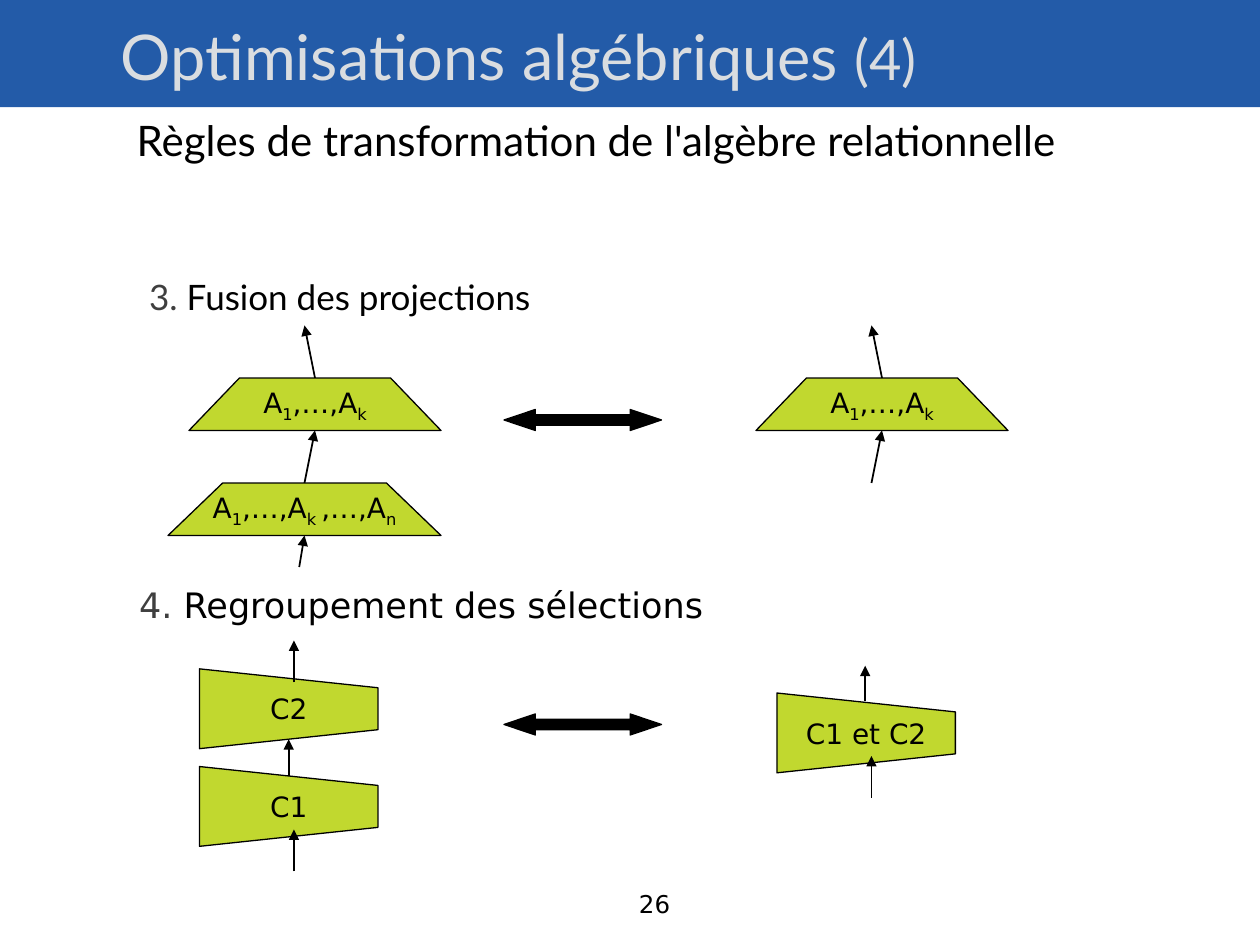
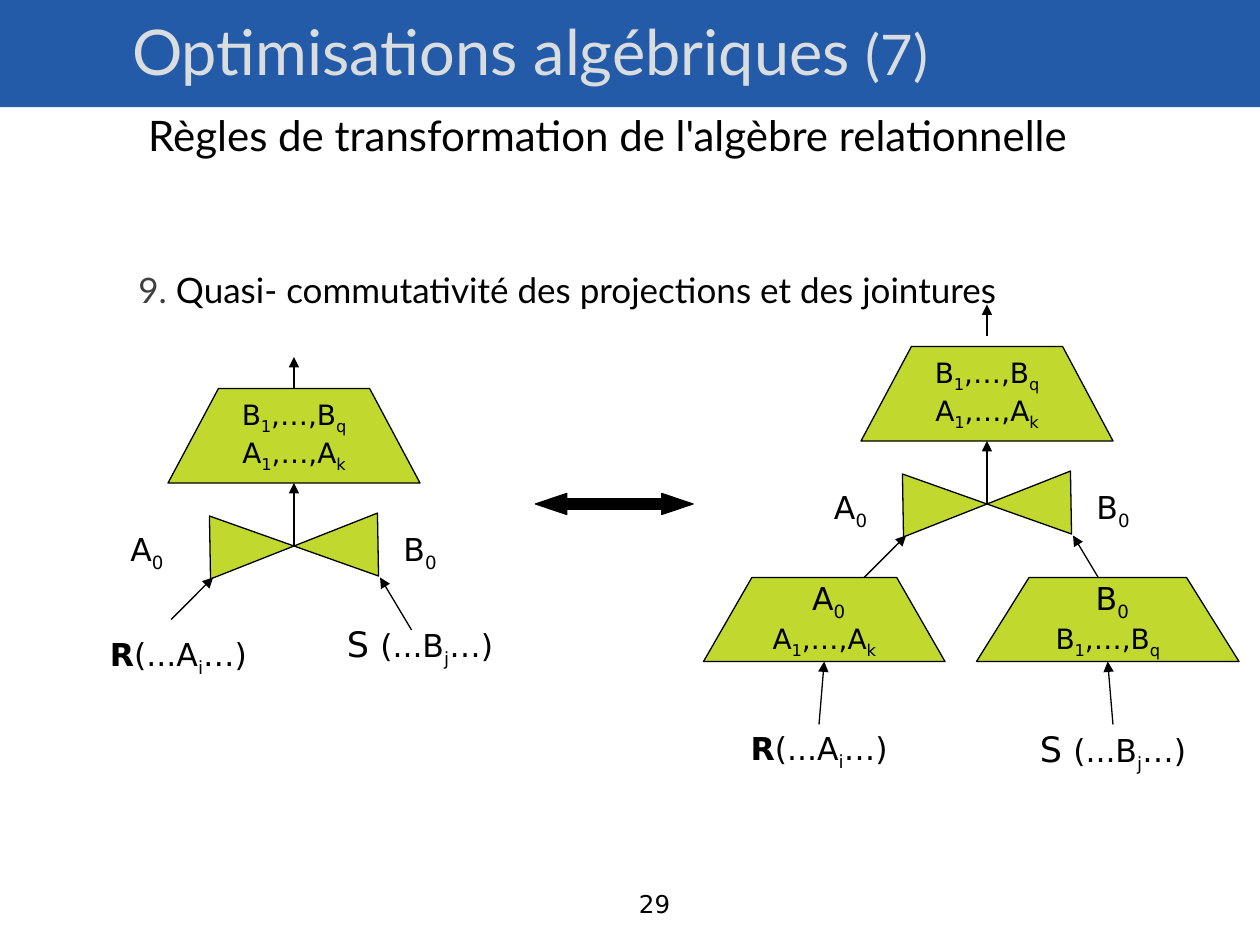
from collections import namedtuple

from lxml.etree import SubElement
from pptx import Presentation
from pptx.dml.color import RGBColor
from pptx.enum.shapes import MSO_CONNECTOR, MSO_SHAPE
from pptx.enum.text import MSO_ANCHOR, PP_ALIGN
from pptx.oxml.ns import qn
from pptx.util import Inches, Pt

BLUE = RGBColor(0x23, 0x5B, 0xA8)
LIME = RGBColor(0xC1, 0xD8, 0x2F)
PALE = RGBColor(0xDA, 0xDD, 0xE0)
GREY = RGBColor(0x3F, 0x3F, 0x3F)
BLACK = RGBColor(0, 0, 0)
LATO, DEJAVU = "Lato", "DejaVu Sans"

# The slide is a grid of 120 columns by 90 rows
CELL = Inches(1) // 12
COLUMNS, ROWS = 120, 90

Span = namedtuple("Span", "text size color bold", defaults=(16, BLACK, False))


def place(slide, box, kind=None, fill=LIME):
    """Add a preset shape, or a text box if kind is None; box is in cells."""
    left, top, width, height = (round(v * CELL) for v in box)
    if kind is None:
        return slide.shapes.add_textbox(left, top, width, height)
    shape = slide.shapes.add_shape(kind, left, top, width, height)
    shape.shadow.inherit = False
    shape.fill.solid()
    shape.fill.fore_color.rgb = fill
    shape.line.color.rgb = BLACK
    shape.line.width = Pt(0.75)
    return shape


def write(shape, paragraphs, font=DEJAVU, align=PP_ALIGN.CENTER,
          anchor=MSO_ANCHOR.MIDDLE, wrap=False, before=0):
    """Fill a shape with lists of spans; text between bars is subscript."""
    frame = shape.text_frame
    frame.word_wrap = wrap
    frame.vertical_anchor = anchor
    if not wrap:
        frame.margin_left = frame.margin_right = 0
    for number, spans in enumerate(paragraphs):
        paragraph = frame.add_paragraph() if number else frame.paragraphs[0]
        paragraph.alignment = align
        paragraph.space_before = Pt(before)
        for span in spans:
            for part, text in enumerate(span.text.split("|")):
                if not text:
                    continue
                run = paragraph.add_run()
                run.text = text
                run.font.name = font
                run.font.size = Pt(span.size)
                run.font.color.rgb = span.color
                run.font.bold = span.bold
                if part % 2:
                    run.font._element.set("baseline", "-25000")


prs = Presentation()
prs.slide_width = COLUMNS * CELL
prs.slide_height = ROWS * CELL

# Shared frame: band, title, page number
slides = []
for rank, page, title_left, title_top in [("(4)", "26", 10.3, 1.1),
                                          ("(7)", "29", 11.4, 0.6)]:
    slide = prs.slides.add_slide(prs.slide_layouts[6])
    band = place(slide, (0, 0, COLUMNS, 10.2), MSO_SHAPE.RECTANGLE, BLUE)
    band.line.fill.background()
    title = place(slide, (title_left, title_top, 107.2, 15.6))
    write(title, [
        [Span("Optimisations algébriques ", 36, PALE), Span(rank, 32, PALE)],
        [Span(" ", 36), Span("Règles de transformation de l'algèbre relationnelle", 24)],
    ], LATO, PP_ALIGN.LEFT, wrap=True)
    write(place(slide, (55, 85, 10, 2.2)), [[Span(page, 14)]],
          align=PP_ALIGN.RIGHT, wrap=True)
    slides.append(slide)
merging, commuting = slides

# Names of the rules
for slide, box, font, before, lead, number, rule in [
    (merging, (12, 25, 106.4, 8), LATO, 6, 24, "3.", " Fusion des projections"),
    (merging, (11, 55, 106.4, 8), DEJAVU, 5, 20, "4.", " Regroupement des sélections"),
    (commuting, (12, 25, 106.4, 11), LATO, 6, 0, "9.",
     " Quasi- commutativité des projections et des jointures"),
]:
    spans = [Span(" ", lead)] if lead else []
    spans += [Span(number, 20, GREY), Span(rule, 20)]
    write(place(slide, box), [spans], font, PP_ALIGN.LEFT, MSO_ANCHOR.TOP, True, before)

# Equivalence signs
for slide, left, top in [(merging, 48, 39), (merging, 48, 68), (commuting, 51, 47)]:
    sign = place(slide, (left, top, 15, 2), MSO_SHAPE.LEFT_RIGHT_ARROW, BLACK)
    sign.adjustments[0] = 0.5
    sign.adjustments[1] = 1.49

# Selections: tapered to the right
WIDTH, HEIGHT, TAPER = 17, 7.6, 1.8
for left, top, condition in [(19, 63.7, "C2"), (19, 73, "C1"), (74, 66, "C1 et C2")]:
    right, bottom = left + WIDTH, top + HEIGHT
    corners = [(x * CELL, y * CELL) for x, y in [
        (left, top), (right, top + TAPER), (right, bottom - TAPER), (left, bottom)]]
    outline = merging.shapes.build_freeform(*corners[0])
    outline.add_line_segments(corners[1:], close=True)
    selection = outline.convert_to_shape()
    selection.shadow.inherit = False
    selection.fill.solid()
    selection.fill.fore_color.rgb = LIME
    selection.line.color.rgb = BLACK
    selection.line.width = Pt(0.75)
    write(selection, [[Span(condition)]])

# Arrows: from, to, line width
arrows = [
    (merging, 29, 46, 30, 41, 1),
    (merging, 30, 36, 29, 31, 1),
    (merging, 28.5, 54, 29, 51, 1),
    (merging, 83, 46, 84, 41, 1),
    (merging, 84, 36, 83, 31, 1),
    (merging, 27.5, 73.9, 27.5, 70.4, 1),
    (merging, 28, 65, 28, 61, 0.75),
    (merging, 28, 83, 28, 79, 0.75),
    (merging, 82.4, 66.8, 82.4, 63.4, 1),
    (merging, 83, 76, 83, 72, 0.75),
    (commuting, 78, 69, 78.5, 63, 0.75),
    (commuting, 106, 69, 105.5, 63, 0.75),
]

# Join trees: axis, join row, start of the exit arrow, A0 column, boxes of R and S
A_JOIN, B_JOIN = Span("A|0|", 18), Span("B|0|", 18)
for axis, row, exit_row, a_left, r_box, s_box in [
    (28, 52, 37, 12, (8, 60, 18, 5), (31, 59, 18, 5)),
    (94, 48, 32, 79, (70, 69, 16, 5), (97, 69, 18, 5)),
]:
    join = place(commuting, (axis - 3, row - 8, 6, 16), MSO_SHAPE.FLOWCHART_COLLATE)
    join.rotation = 269
    for box, spans in [
        ((a_left, row - 1, 4, 3), [A_JOIN]),
        ((axis + 10, row - 1, 4, 3), [B_JOIN]),
        (r_box, [Span("R", 18, bold=True), Span("(...A|i|…)", 18)]),
        (s_box, [Span("S ", 20), Span("(...B|j|…)", 18)]),
    ]:
        write(place(commuting, box), [spans])
    arrows += [
        (commuting, axis, row, axis, row - 6, 1),
        (commuting, axis, exit_row, axis, exit_row - 3, 0.75),
        (commuting, axis + 11.2, row + 8, axis + 8.2, row + 3, 0.75),
        (commuting, axis - 11.7, row + 7, axis - 7.7, row + 3, 0.75),
    ]

for slide, *ends, width in arrows:
    arrow = slide.shapes.add_connector(MSO_CONNECTOR.STRAIGHT,
                                       *(round(end * CELL) for end in ends))
    arrow.line.color.rgb = BLACK
    arrow.line.width = Pt(width)
    SubElement(arrow.line._get_or_add_ln(), qn("a:tailEnd"), type="triangle")
    SubElement(arrow._element.spPr, qn("a:effectLst"))

# Projections, over the arrows: wide side at the bottom, text upright
A_KEPT, B_KEPT = [Span("A|1|,…,A|k|")], [Span("B|1|,…,B|q|")]
for slide, box, attributes in [
    (merging, (18, 36, 24, 5), [A_KEPT]),
    (merging, (16, 46, 26, 5), [[Span("A|1|,…,A|k |,…,A|n|")]]),
    (merging, (72, 36, 24, 5), [A_KEPT]),
    (commuting, (16, 37, 24, 9), [B_KEPT, A_KEPT]),
    (commuting, (82, 33, 24, 9), [B_KEPT, A_KEPT]),
    (commuting, (67, 55, 23, 8), [[Span(" "), A_JOIN], A_KEPT]),
    (commuting, (93, 55, 25, 8), [[Span(" "), B_JOIN], B_KEPT]),
]:
    projection = place(slide, box, MSO_SHAPE.FLOWCHART_MANUAL_OPERATION)
    projection.rotation = 180
    write(projection, attributes)
    projection.text_frame._txBody.bodyPr.set("rot", "10800000")

prs.save("out.pptx")
